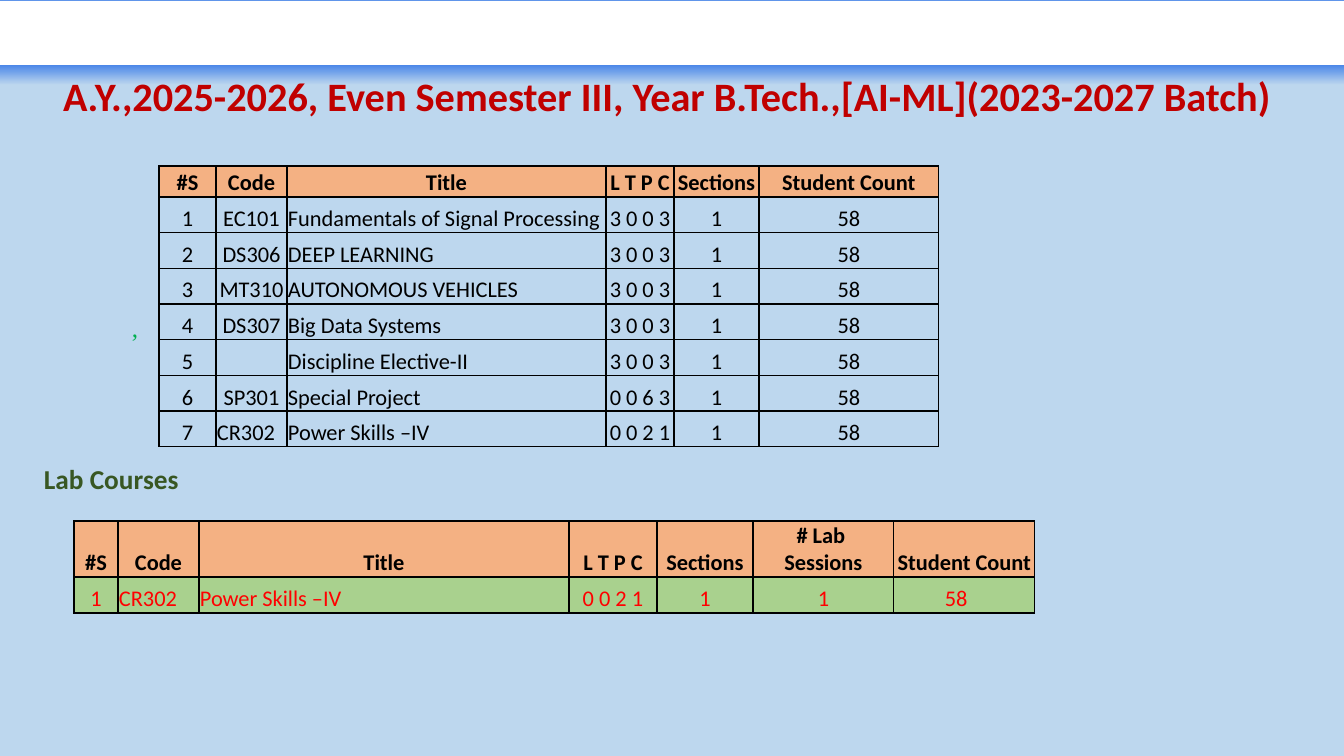
from lxml.etree import SubElement
from pptx import Presentation
from pptx.dml.color import RGBColor
from pptx.enum.shapes import MSO_SHAPE
from pptx.enum.text import MSO_ANCHOR, PP_ALIGN
from pptx.oxml.ns import qn
from pptx.util import Emu, Pt

WIDTH, HEIGHT = 1344, 756
EMU_PER_PX = 12192000 / WIDTH

BLACK, WHITE, RED = "000000", "FFFFFF", "FF0000"
SKY, BLUE = "BDD7EE", "4A86E8"
ORANGE, GREEN = "F4B183", "A9D18E"
LEFT, CENTER = PP_ALIGN.LEFT, PP_ALIGN.CENTER


def px(length):
    return Emu(round(length * EMU_PER_PX))


def color(value):
    return RGBColor.from_string(value)


def write(frame, text, size=16, ink=BLACK, bold=False, align=LEFT,
          font="Calibri", spacing=1.0):
    """Fill a text frame, one paragraph for each line of text."""
    frame.word_wrap = True
    for index, line in enumerate(text.split("\n")):
        paragraph = frame.add_paragraph() if index else frame.paragraphs[0]
        paragraph.alignment = align
        paragraph.line_spacing = spacing
        paragraph.font.size = Pt(size)
        if not line:
            continue
        run = paragraph.add_run()
        run.text = line
        run.font.name = font
        run.font.size = Pt(size)
        run.font.bold = bold
        run.font.color.rgb = color(ink)


class CourseSlide:
    def __init__(self, deck):
        self.slide = deck.slides.add_slide(deck.slide_layouts[6])
        self.shapes = self.slide.shapes
        background = self.slide.background.fill
        background.solid()
        background.fore_color.rgb = color(SKY)

    def band(self, top, height, start, end=None):
        """Draw a full-width bar, fading downwards if an end colour is given."""
        bar = self.shapes.add_shape(MSO_SHAPE.RECTANGLE, 0, px(top), px(WIDTH), px(height))
        bar.shadow.inherit = False
        bar.line.fill.background()
        if end is None:
            bar.fill.solid()
            bar.fill.fore_color.rgb = color(start)
        else:
            bar.fill.gradient()
            bar.fill.gradient_angle = 270
            for stop, shade in zip(bar.fill.gradient_stops, (start, end)):
                stop.color.rgb = color(shade)

    def label(self, left, top, width, height, text, **style):
        frame = self.shapes.add_textbox(px(left), px(top), px(width), px(height)).text_frame
        frame.margin_top = frame.margin_bottom = 0
        frame.vertical_anchor = MSO_ANCHOR.MIDDLE
        write(frame, text, spacing=0.9, **style)

    def table(self, left, top, height, header_height, widths, rows,
              ink=BLACK, fill=None, left_codes=(), count_indent=None):
        """Draw a course table; rows below the header share the rest of the height."""
        grid = self.shapes.add_table(len(rows), len(widths), px(left), px(top),
                                     px(sum(widths)), px(height)).table
        grid.first_row = grid.horz_banding = False
        for column, width in zip(grid.columns, widths):
            column.width = px(width)
        row_height = (height - header_height) / (len(rows) - 1)
        for r, row in enumerate(rows):
            header = r == 0
            grid.rows[r].height = px(header_height if header else row_height)
            for c, text in enumerate(row):
                indented = count_indent and not header and c == len(row) - 1
                flush = not header and (c == 2 or text in left_codes or indented)
                cell = grid.cell(r, c)
                self.cell(cell, ORANGE if header else fill)
                if indented:
                    cell.margin_left = px(count_indent)
                write(cell.text_frame, text, ink=BLACK if header else ink,
                      bold=header, align=LEFT if flush else CENTER)

    def cell(self, cell, fill):
        cell.margin_left = cell.margin_right = cell.margin_top = px(1)
        cell.margin_bottom = 0
        cell.vertical_anchor = MSO_ANCHOR.BOTTOM
        properties = cell._tc.get_or_add_tcPr()
        for side in ("a:lnL", "a:lnR", "a:lnT", "a:lnB"):
            border = SubElement(properties, qn(side), w=str(Pt(1)))
            solid = SubElement(border, qn("a:solidFill"))
            SubElement(solid, qn("a:srgbClr"), val=BLACK)
        if fill:
            cell.fill.solid()
            cell.fill.fore_color.rgb = color(fill)
        else:
            cell.fill.background()


def main():
    deck = Presentation()
    deck.slide_width, deck.slide_height = px(WIDTH), px(HEIGHT)
    page = CourseSlide(deck)

    page.band(0, 2, BLUE)
    page.band(65, 20, BLUE, SKY)
    page.band(1, 64, WHITE)
    page.label(10, 71, 1324, 54,
               "A.Y.,2025-2026, Even Semester III, Year B.Tech.,[AI-ML](2023-2027 Batch) ",
               size=28.8, ink="C00000", bold=True, align=CENTER)
    page.label(122, 317, 30, 24, ",", size=18, ink="00B050", font="Times New Roman")

    courses = [
        ("EC101", "Fundamentals of Signal Processing", "3 0 0 3"),
        ("DS306", "DEEP LEARNING", "3 0 0 3"),
        ("MT310", "AUTONOMOUS VEHICLES", "3 0 0 3"),
        ("DS307", "Big Data Systems", "3 0 0 3"),
        ("", "Discipline Elective-II", "3 0 0 3"),
        ("SP301", "Special Project", "0 0 6 3"),
        ("CR302", "Power Skills –IV", "0 0 2 1"),
    ]
    course_rows = [("#S", "Code", "Title", "L T P C", "Sections", "Student Count")]
    course_rows += [(str(n), *course, "1", "58") for n, course in enumerate(courses, 1)]
    page.table(159, 166, 281, 31, (57, 71, 319, 68, 85, 180), course_rows,
               left_codes=("CR302",))

    page.label(34, 460, 175, 41, "Lab Courses", size=19.5, ink="385723", bold=True)
    lab_rows = [
        ("#S", "Code", "Title", "L T P C", "Sections", "# Lab \nSessions", "Student Count"),
        ("1", "CR302", "Power Skills –IV", "0 0 2 1", "1", "1", "58"),
    ]
    page.table(74, 521, 92, 56, (44, 81, 370, 88, 96, 141, 141), lab_rows,
               ink=RED, fill=GREEN, left_codes=("CR302",), count_indent=51)

    deck.save("out.pptx")


if __name__ == "__main__":
    main()
